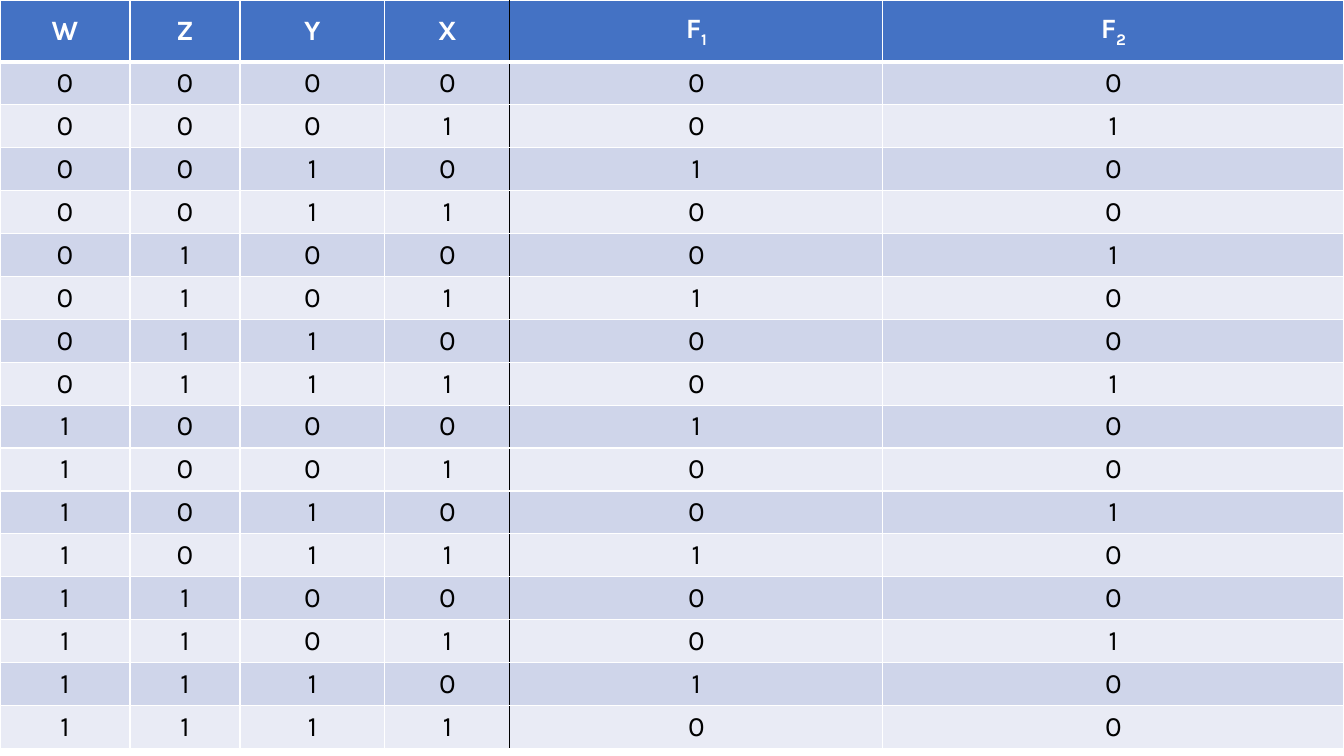
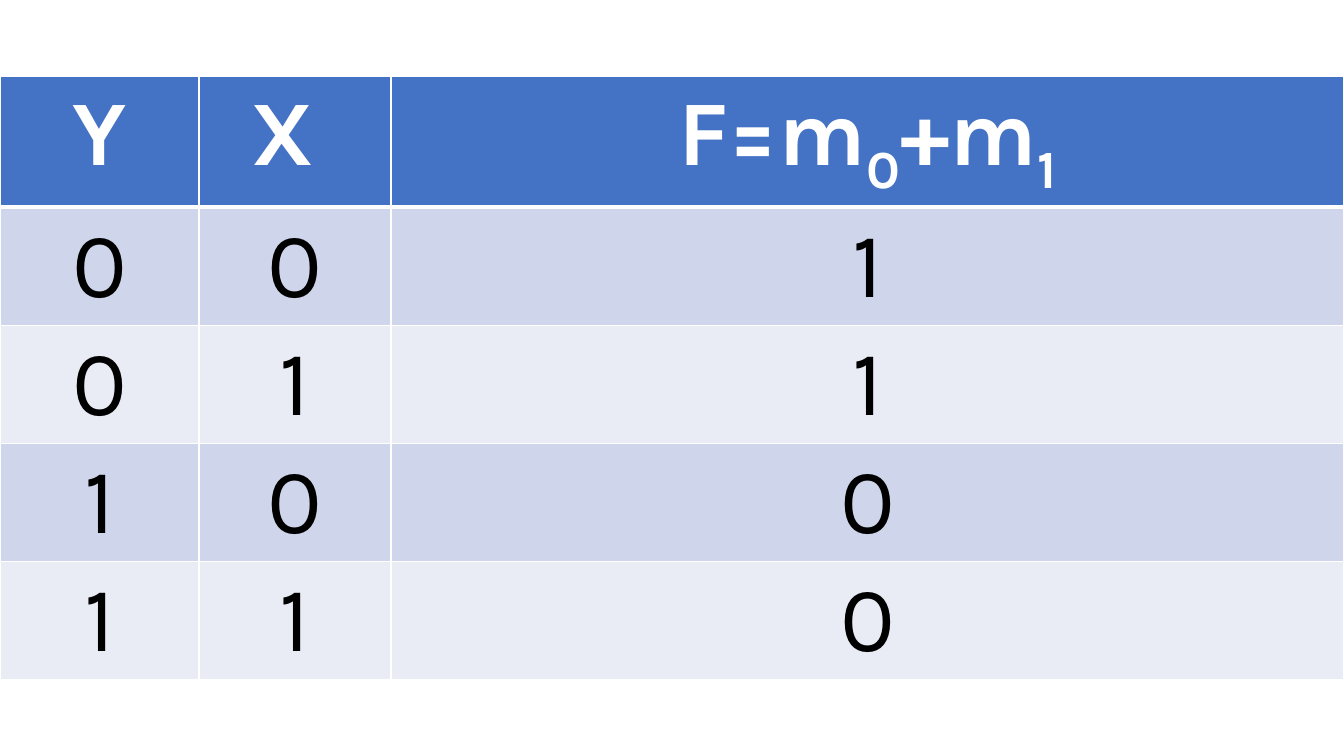
from dataclasses import dataclass
from itertools import product

from lxml import etree
from pptx import Presentation
from pptx.dml.color import RGBColor
from pptx.enum.text import MSO_ANCHOR, PP_ALIGN
from pptx.oxml.ns import qn
from pptx.util import Emu, Pt

CENTER = PP_ALIGN.CENTER
TOP, MIDDLE = MSO_ANCHOR.TOP, MSO_ANCHOR.MIDDLE

# Shared look
WIDE, HIGH = 1344, 756
FONT = "Karla"
COLORS = {
    "head": "4472C4",
    "odd": "CFD5EA",
    "even": "E9EBF5",
    "white": "FFFFFF",
    "black": "000000",
}
THIN, THICK = 1, 3


@dataclass
class Truth:
    """A truth table; each "|" in a heading switches subscript on or off."""
    heads: list[str]
    rows: list[tuple[int, ...]]
    cols: list[int]
    top: int
    head_high: int
    row_high: int
    size: int
    anchor: MSO_ANCHOR = TOP
    head_pad: int = 5
    split: int = 0  # column with a black line on its left, 0 for none


def px(n: int) -> Emu:
    return Emu(round(n * 12192000 / WIDE))


def rgb(name: str) -> RGBColor:
    return RGBColor.from_string(COLORS[name])


def write(cell, text: str, *, size: int, color: str, bold: bool) -> None:
    para = cell.text_frame.paragraphs[0]
    para.alignment = CENTER
    for i, part in enumerate(text.split("|")):
        if not part:
            continue
        run = para.add_run()
        run.text = part
        font = run.font
        font.name, font.size, font.bold = FONT, Pt(size), bold
        font.color.rgb = rgb(color)
        if i % 2:
            run._r.get_or_add_rPr().set("baseline", "-25000")


def edge(cell, side: str, color: str, width: int) -> None:
    line = etree.SubElement(cell._tc.get_or_add_tcPr(), qn(f"a:ln{side}"), w=str(Pt(width)))
    fill = etree.SubElement(line, qn("a:solidFill"))
    etree.SubElement(fill, qn("a:srgbClr"), val=COLORS[color])


def style(cell, row: int, col: int, spec: Truth) -> None:
    # Borders come before the fill in the cell properties
    left = "black" if spec.split and col == spec.split else "white"
    right = "black" if spec.split and col + 1 == spec.split else "white"
    edge(cell, "L", left, THIN)
    edge(cell, "R", right, THIN)
    edge(cell, "T", "white", THICK if row == 1 else THIN)
    edge(cell, "B", "white", THICK if row == 0 else THIN)
    cell.fill.solid()
    cell.fill.fore_color.rgb = rgb("head" if row == 0 else "odd" if row % 2 else "even")
    cell.vertical_anchor = spec.anchor
    if row == 0:
        cell.margin_top = cell.margin_bottom = px(spec.head_pad)


def draw(deck, spec: Truth) -> None:
    slide = deck.slides.add_slide(deck.slide_layouts[6])
    count = len(spec.rows)
    high = spec.head_high + count * spec.row_high
    frame = slide.shapes.add_table(
        count + 1, len(spec.cols), 0, px(spec.top), px(WIDE), px(high))
    table = frame.table
    for col, wide in zip(table.columns, spec.cols):
        col.width = px(wide)
    for i, line in enumerate([spec.heads, *spec.rows]):
        table.rows[i].height = px(spec.row_high if i else spec.head_high)
        for j, value in enumerate(line):
            cell = table.cell(i, j)
            style(cell, i, j, spec)
            write(cell, str(value), size=spec.size,
                  color="black" if i else "white", bold=i == 0)


def main() -> None:
    deck = Presentation()
    deck.slide_width, deck.slide_height = px(WIDE), px(HIGH)

    # Four inputs: F1 marks n mod 3 = 2, F2 marks n mod 3 = 1
    four = [(*bits, int(n % 3 == 2), int(n % 3 == 1))
            for n, bits in enumerate(product((0, 1), repeat=4))]
    draw(deck, Truth(
        heads=["W", "Z", "Y", "X", "F|1", "F|2"], rows=four,
        cols=[130, 110, 145, 125, 373, 461], top=0, head_high=62, row_high=42,
        size=20, anchor=MIDDLE, head_pad=0, split=4))

    # Two inputs: F is the sum of minterms 0 and 1
    two = [(y, x, 1 - y) for y, x in product((0, 1), repeat=2)]
    draw(deck, Truth(
        heads=["Y", "X ", "F=m|0|+m|1"], rows=two,
        cols=[199, 192, 953], top=76, head_high=131, row_high=118, size=66))

    deck.save("out.pptx")


if __name__ == "__main__":
    main()
